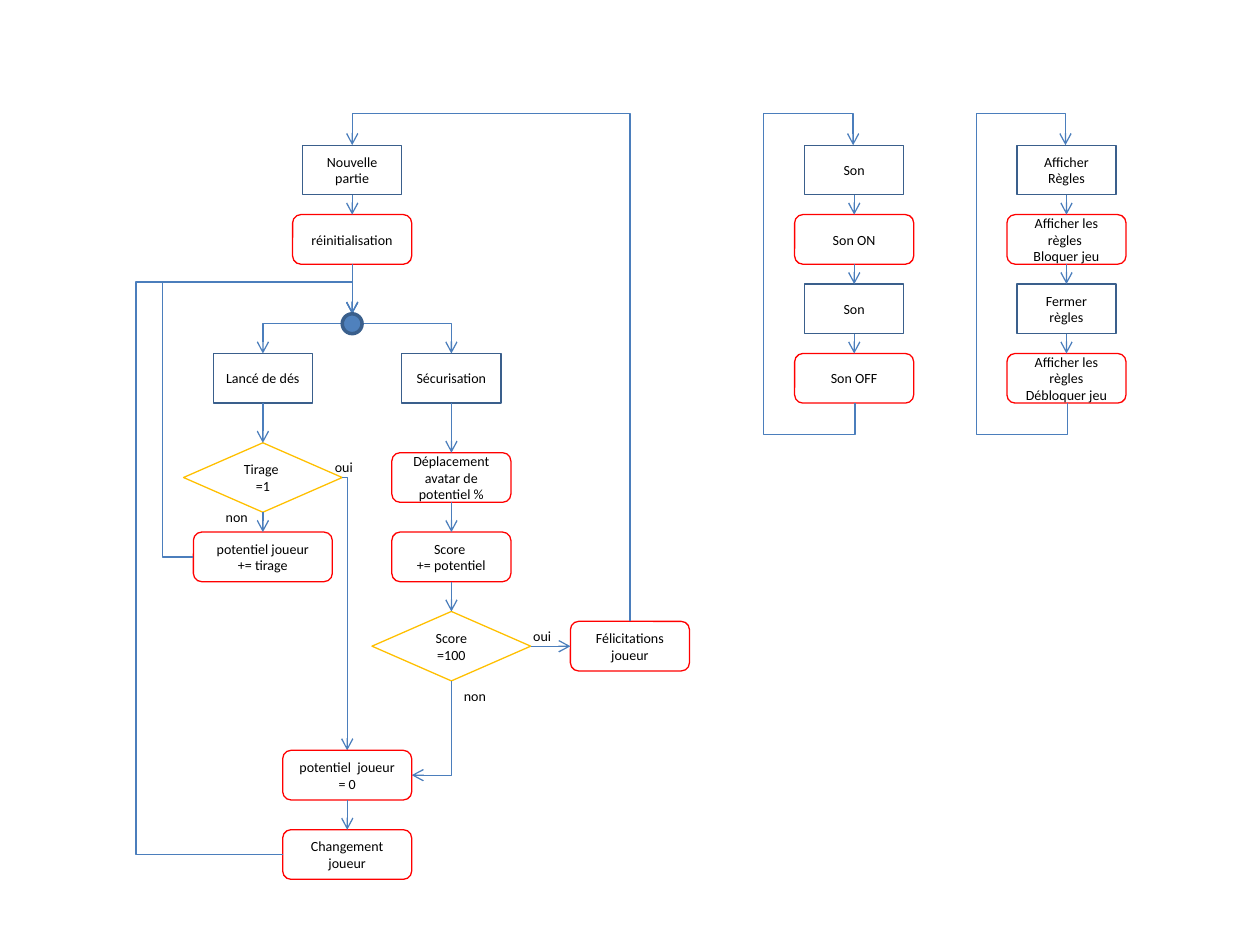
from lxml.etree import SubElement
from pptx import Presentation
from pptx.dml.color import RGBColor
from pptx.enum.shapes import MSO_CONNECTOR, MSO_SHAPE
from pptx.enum.text import MSO_ANCHOR, PP_ALIGN
from pptx.oxml.ns import qn
from pptx.util import Emu, Inches, Pt

CELL = 2 / 25.4  # grid step of two millimetres, in inches
TOP_OFFSET = 0.05


def colour(value):
    return RGBColor.from_string(value)


def across(columns):
    return Inches(columns * CELL)


def down(rows):
    return Inches(TOP_OFFSET + rows * CELL)


class Flowchart:
    font = "Calibri"
    size = Pt(8)
    ink = "000000"
    arrow_line = "4B7EBC"
    event_line = "3A5F8C"
    action_line = "FF0000"
    test_line = "FFC000"
    hub_fill = "4F81BD"

    def __init__(self, slide):
        self.slide = slide

    def add_lines(self, frame, lines, align):
        frame.word_wrap = True
        for number, line in enumerate(lines):
            para = frame.paragraphs[0] if number == 0 else frame.add_paragraph()
            para.alignment = align
            span = para.add_run()
            span.text = line
            span.font.name = self.font
            span.font.size = self.size
            span.font.color.rgb = colour(self.ink)

    def node(self, kind, centre, row, width, height, line, weight=0.75):
        box = self.slide.shapes.add_shape(
            kind, across(centre - width / 2), down(row), across(width), across(height))
        box.shadow.inherit = False
        box.fill.background()
        box.line.color.rgb = colour(line)
        box.line.width = Pt(weight)
        return box

    def step(self, kind, centre, row, width, height, line, lines):
        frame = self.node(kind, centre, row, width, height, line).text_frame
        frame.vertical_anchor = MSO_ANCHOR.MIDDLE
        self.add_lines(frame, lines, PP_ALIGN.CENTER)

    def event(self, centre, row, *lines):
        self.step(MSO_SHAPE.FLOWCHART_PROCESS, centre, row, 10, 5, self.event_line, lines)

    def action(self, centre, row, *lines, width=12):
        self.step(MSO_SHAPE.FLOWCHART_ALTERNATE_PROCESS, centre, row, width, 5,
                  self.action_line, lines)

    def test(self, centre, row, *lines):
        self.step(MSO_SHAPE.FLOWCHART_DECISION, centre, row, 16, 7, self.test_line, lines)

    def hub(self, centre, row):
        circle = self.node(MSO_SHAPE.OVAL, centre, row, 2, 2, self.event_line, 2)
        circle.fill.solid()
        circle.fill.fore_color.rgb = colour(self.hub_fill)

    def label(self, column, row, text):
        box = self.slide.shapes.add_textbox(across(column), down(row), across(5), across(3))
        self.add_lines(box.text_frame, [text], PP_ALIGN.LEFT)

    def arrow(self, *points):
        """Draw an arrow through (column, row) points; corners make it an elbow."""
        start, end = points[0], points[-1]
        kind = MSO_CONNECTOR.STRAIGHT if len(points) == 2 else MSO_CONNECTOR.ELBOW
        link = self.slide.shapes.add_connector(
            kind, across(start[0]), down(start[1]), across(end[0]), down(end[1]))
        link.line.color.rgb = colour(self.arrow_line)
        link.line.width = Pt(0.75)
        properties = link._element.spPr
        SubElement(properties.find(qn("a:ln")), qn("a:tailEnd"), type="arrow")
        SubElement(properties, qn("a:effectLst"))
        if len(points) > 2:
            self.bend(link, properties, points)

    def bend(self, link, properties, points):
        """Turn the elbow towards its first leg and place its corners."""
        start, second, end = points[0], points[1], points[-1]
        dx, dy = end[0] - start[0], end[1] - start[1]
        upright = start[0] == second[0]
        if upright:
            turn = 90 if second[1] > start[1] else 270
            middle_x, middle_y = link.left + link.width / 2, link.top + link.height / 2
            link.width, link.height = link.height, link.width
            link.left = Emu(round(middle_x - link.width / 2))
            link.top = Emu(round(middle_y - link.height / 2))
        else:
            turn = 0 if second[0] > start[0] else 180
        along, side = {0: (dx, dy), 90: (dy, -dx), 180: (-dx, -dy), 270: (-dy, dx)}[turn]
        frame = properties.find(qn("a:xfrm"))
        frame.set("rot", str(turn * 60000))
        frame.set("flipH", str(int(along < 0)))
        frame.set("flipV", str(int(side < 0)))

        shape = properties.find(qn("a:prstGeom"))
        shape.set("prst", f"bentConnector{len(points) - 1}")
        values = shape.find(qn("a:avLst"))
        for number, corner in enumerate(points[1:-2], 1):
            axis = (number + upright + 1) % 2
            share = (corner[axis] - start[axis]) / (end[axis] - start[axis])
            SubElement(values, qn("a:gd"), name=f"adj{number}",
                       fmla=f"val {round(share * 100000)}")


deck = Presentation()
deck.slide_width, deck.slide_height = Inches(10), Inches(7.5)
chart = Flowchart(deck.slides.add_slide(deck.slide_layouts[6]))

# Column centres and shared rows
DICE, RESET, START, SECURE, WIN = 26.5, 35, 35.5, 45.5, 63.5
LOOP_TOP, TURN_TOP, HUB_MIDDLE = 10.8, 27.8, 32

# Start of the game
chart.event(START, 14, "Nouvelle partie")
chart.action(START, 21, "réinitialisation")
chart.arrow((START, 19), (START, 21))
chart.arrow((START, 26), (START, 31))

# Dice branch
chart.event(DICE, 35, "Lancé de dés")
chart.test(DICE, 44, "Tirage  =1")
chart.action(DICE, 53, "potentiel joueur", "+= tirage", width=14)
chart.arrow((START - 1, HUB_MIDDLE), (DICE, HUB_MIDDLE), (DICE, 35))
chart.arrow((DICE, 40), (DICE, 44))
chart.arrow((DICE, 51), (DICE, 53))
chart.arrow((DICE + 8, 47.5), (RESET, 47.5), (RESET, 75))

# Securing branch
chart.event(SECURE, 35, "Sécurisation")
chart.action(SECURE, 45, "Déplacement avatar de potentiel %")
chart.action(SECURE, 53, "Score ", "+= potentiel")
chart.test(SECURE, 61, "Score =100")
chart.action(WIN, 62, "Félicitations joueur")
chart.arrow((START + 1, HUB_MIDDLE), (SECURE, HUB_MIDDLE), (SECURE, 35))
for first, last in ((40, 45), (50, 53), (58, 61)):
    chart.arrow((SECURE, first), (SECURE, last))
chart.arrow((SECURE + 8, 64.5), (WIN - 6, 64.5))
chart.arrow((SECURE, 68), (SECURE, 77.5), (RESET + 6.5, 77.5))

# Change of player
chart.action(RESET, 75, "potentiel  joueur", "= 0", width=13)
chart.action(RESET, 83, "Changement joueur", width=13)
chart.arrow((RESET, 80), (RESET, 83))

# Ways back to the hub and to a new game
for edge, row, lane in ((DICE - 7, 55.5, 16.4), (RESET - 6.5, 85.5, 13.7)):
    chart.arrow((edge, row), (lane, row), (lane, TURN_TOP), (START, TURN_TOP), (START, 31))
chart.arrow((WIN, 62), (WIN, LOOP_TOP), (START, LOOP_TOP), (START, 14))
chart.hub(START, 31)

# Answers
for column, row, answer in ((45.5, 68, "non"), (21.5, 50, "non"),
                            (52.5, 62, "oui"), (32.5, 45, "oui")):
    chart.label(column, row, answer)

# Sound and rules loops
LOOPS = (
    (86.1, (["Son"], ["Son ON"], ["Son"], ["Son OFF"])),
    (107.5, (["Afficher Règles"], ["Afficher les règles ", "Bloquer jeu"],
             ["Fermer règles"], ["Afficher les règles", "Débloquer jeu"])),
)
for centre, steps in LOOPS:
    for number, lines in enumerate(steps):
        row = 14 + 7 * number
        draw = chart.action if number % 2 else chart.event
        draw(centre, row, *lines)
        if number:
            chart.arrow((centre, row - 2), (centre, row))
    leave, enter, lane = centre + 0.1, centre - 0.1, centre - 9.1
    chart.arrow((leave, 40), (leave, 43.2), (lane, 43.2),
                (lane, LOOP_TOP), (enter, LOOP_TOP), (enter, 14))

deck.save("out.pptx")
